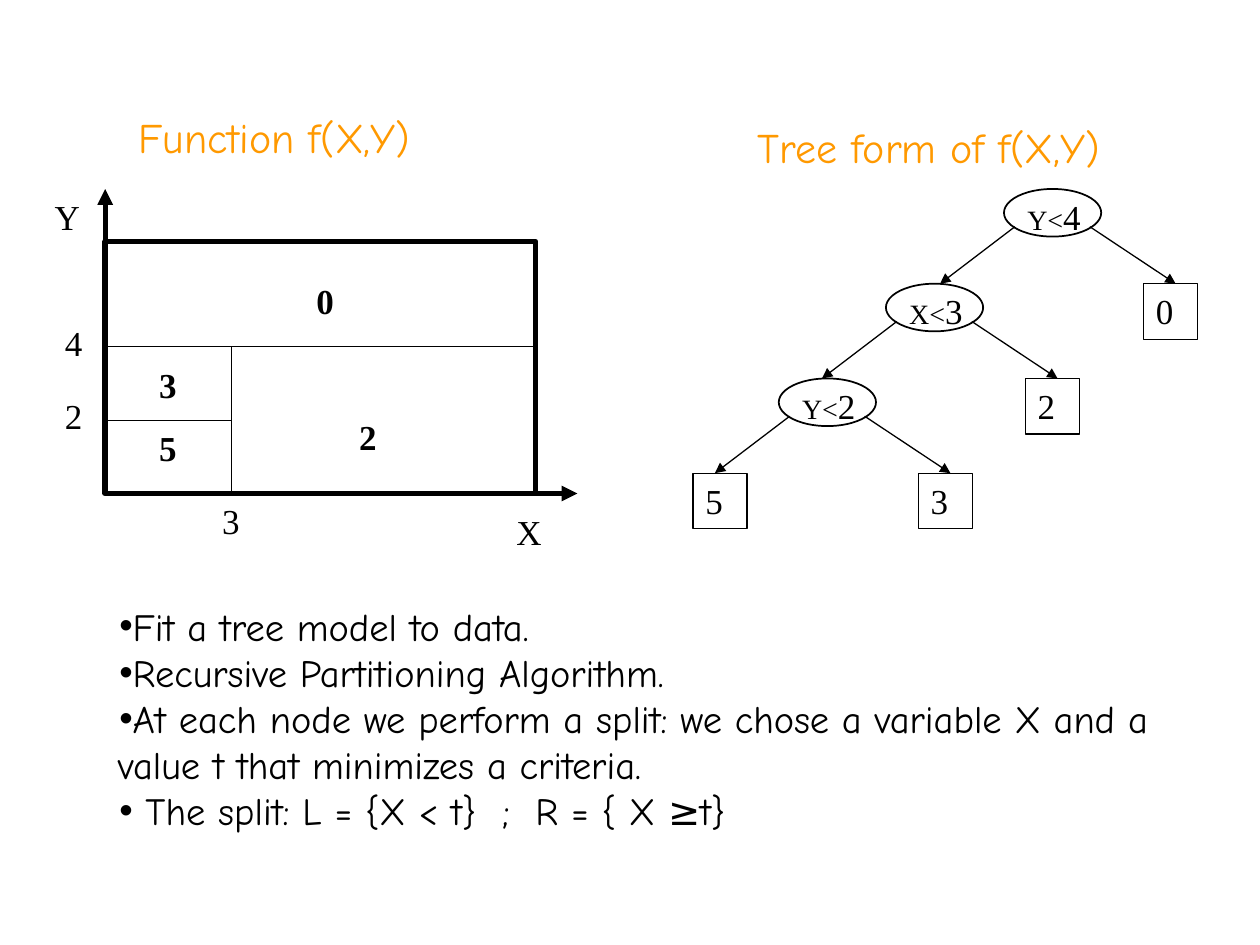
from typing import Any, NamedTuple

from lxml.etree import SubElement
from pptx import Presentation
from pptx.dml.color import RGBColor
from pptx.enum.shapes import MSO_CONNECTOR as Link, MSO_SHAPE as Preset
from pptx.enum.text import MSO_ANCHOR as Anchor, MSO_AUTO_SIZE as AutoSize, PP_ALIGN as Align
from pptx.oxml.ns import qn
from pptx.util import Cm, Pt

COLORS = {"ink": "000000", "heading": "FF9900"}
SERIF, HAND = "Times New Roman", "Comic Neue"
FRAME = {"word_wrap": True, "auto_size": AutoSize.NONE, "vertical_anchor": Anchor.TOP}
LABEL = {"name": SERIF, "size": Pt(20), "bold": False}
REGION = LABEL | {"bold": True}
VARIABLE = LABEL | {"size": Pt(16)}
HEADING = {"name": HAND, "size": Pt(24), "bold": False}
BULLET = {"name": HAND, "size": Pt(22), "bold": False}


class Box(NamedTuple):
    left: float
    top: float
    width: float
    height: float


class Mark(NamedTuple):
    text: str
    left: float
    top: float
    style: dict[str, Any] = LABEL


class Edge(NamedTuple):
    x1: float
    y1: float
    x2: float
    y2: float
    weight: float = 0.75
    arrow: bool = False


class Split(NamedTuple):
    variable: str
    threshold: str
    left: float
    left_leaf: str
    right_leaf: str


def rgb(color: str) -> RGBColor:
    return RGBColor.from_string(COLORS[color])


def apply(target: Any, values: dict[str, Any]) -> None:
    for name, value in values.items():
        setattr(target, name, value)


def place(shape: Any, box: Box) -> None:
    apply(shape, {name: Cm(value) for name, value in box._asdict().items()})


def write(paragraph: Any, text: str, style: dict[str, Any], color: str = "ink") -> None:
    run = paragraph.add_run()
    run.text = text
    apply(run.font, style)
    run.font.color.rgb = rgb(color)


def add_text(box: Box, parts: list[tuple[str, dict[str, Any]]], color: str = "ink") -> None:
    frame = slide.shapes.add_textbox(*map(Cm, box)).text_frame
    apply(frame, FRAME)
    for text, style in parts:
        write(frame.paragraphs[0], text, style, color)


def add_outline(preset: Preset, box: Box, weight: float) -> Any:
    shape = slide.shapes.add_shape(preset, *map(Cm, box))
    shape.shadow.inherit = False
    shape.fill.background()
    shape.line.color.rgb = rgb("ink")
    shape.line.width = Pt(weight)
    return shape


def add_edge(edge: Edge) -> None:
    ends = map(Cm, (edge.x1, edge.y1, edge.x2, edge.y2))
    connector = slide.shapes.add_connector(Link.STRAIGHT, *ends)
    connector.line.color.rgb = rgb("ink")
    connector.line.width = Pt(edge.weight)
    properties = connector._element.spPr
    if edge.arrow:
        SubElement(properties.find(qn("a:ln")), qn("a:tailEnd"), type="triangle")
    SubElement(properties, qn("a:effectLst"))


def add_leaf(text: str, left: float, top: float) -> None:
    leaf = add_outline(Preset.RECTANGLE, Box(left, top, 1.09, 1.12), 0.75)
    apply(leaf.text_frame, FRAME)
    paragraph = leaf.text_frame.paragraphs[0]
    paragraph.alignment = Align.LEFT
    write(paragraph, text, LABEL)


def add_split(split: Split, top: float, row: float) -> None:
    left = split.left
    start, end = top + 0.76, top + row
    add_text(Box(left + 0.22, top, 1.73, 1.09),
             [(split.variable + "<", VARIABLE), (split.threshold, LABEL)])
    add_outline(Preset.OVAL, Box(left, top, 1.96, 0.96), 1)
    add_edge(Edge(left + 0.22, start, left - 1.29, end, arrow=True))
    add_edge(Edge(left + 1.73, start, left + 3.46, end, arrow=True))
    if split.left_leaf:
        add_leaf(split.left_leaf, left - 1.73, end)
    add_leaf(split.right_leaf, left + 2.81, end)


def add_bullet(paragraph: Any, text: str) -> None:
    properties = paragraph._p.get_or_add_pPr()
    apply_indent = {"marL": "0", "indent": str(Cm(0.03))}
    for name, value in apply_indent.items():
        properties.set(name, value)
    bullet_color = SubElement(properties, qn("a:buClr"))
    SubElement(bullet_color, qn("a:srgbClr"), val=COLORS["ink"])
    SubElement(properties, qn("a:buChar"), char="•")
    apply(paragraph, {"space_before": Pt(0), "alignment": Align.LEFT})
    write(paragraph, text, BULLET)


deck = Presentation()
deck.slide_width, deck.slide_height = Cm(25.4), Cm(19.05)
slide = deck.slides.add_slide(deck.slide_layouts[1])

function_title = slide.shapes.title
place(function_title, Box(2.54, 2.12, 7.2, 1.27))
apply(function_title.text_frame, FRAME)
function_title.text_frame.paragraphs[0].alignment = Align.LEFT
write(function_title.text_frame.paragraphs[0], "Function f(X,Y)", HEADING, "heading")
add_text(Box(15.03, 2.33, 8.47, 1.27), [("Tree form of f(X,Y)", HEADING)], "heading")

method = slide.placeholders[1]
place(method, Box(2.12, 12.02, 21.8, 5.72))
apply(method.text_frame, FRAME)
steps = [
    "Fit a tree model to data.",
    "Recursive Partitioning Algorithm.",
    "At each node we perform a split: we chose a variable X and a value t that minimizes a criteria.",
    " The split: L = {X < t}  ;  R = { X ≥t}",
]
for index, step in enumerate(steps):
    frame = method.text_frame
    add_bullet(frame.add_paragraph() if index else frame.paragraphs[0], step)

plane = Box(2.12, 4.87, 8.68, 5.08)
right, bottom = plane.left + plane.width, plane.top + plane.height
x_at_3, y_at_4, y_at_2 = 4.66, 6.99, 8.47
add_outline(Preset.RECTANGLE, plane, 3)
for edge in [
    Edge(plane.left, y_at_4, right, y_at_4),
    Edge(x_at_3, y_at_4, x_at_3, bottom),
    Edge(x_at_3, y_at_2, plane.left, y_at_2),
    Edge(10.16, bottom, 11.64, bottom, 3, True),
    Edge(plane.left, 5.72, plane.left, 3.81, 3, True),
]:
    add_edge(edge)

for mark in [
    Mark("5", 2.96, 8.47, REGION),
    Mark("0", 6.13, 5.5, REGION),
    Mark("2", 6.99, 8.26, REGION),
    Mark("3", 2.96, 7.2, REGION),
    Mark("3", 4.23, 9.95),
    Mark("4", 1.06, 6.35),
    Mark("2", 1.06, 7.83),
    Mark("X", 10.16, 10.16),
    Mark("Y", 0.85, 3.81),
]:
    add_text(Box(mark.left, mark.top, 1.06 if mark.text in "XY" else 0.88, 1.09),
             [(mark.text, mark.style)])

tree_top, tree_row = 3.81, 1.91
splits = [
    Split("Y", "4", 20.24, "", "0"),
    Split("X", "3", 17.86, "", "2"),
    Split("Y", "2", 15.7, "5", "3"),
]
for level, split in enumerate(splits):
    add_split(split, tree_top + level * tree_row, tree_row)

deck.save("out.pptx")
